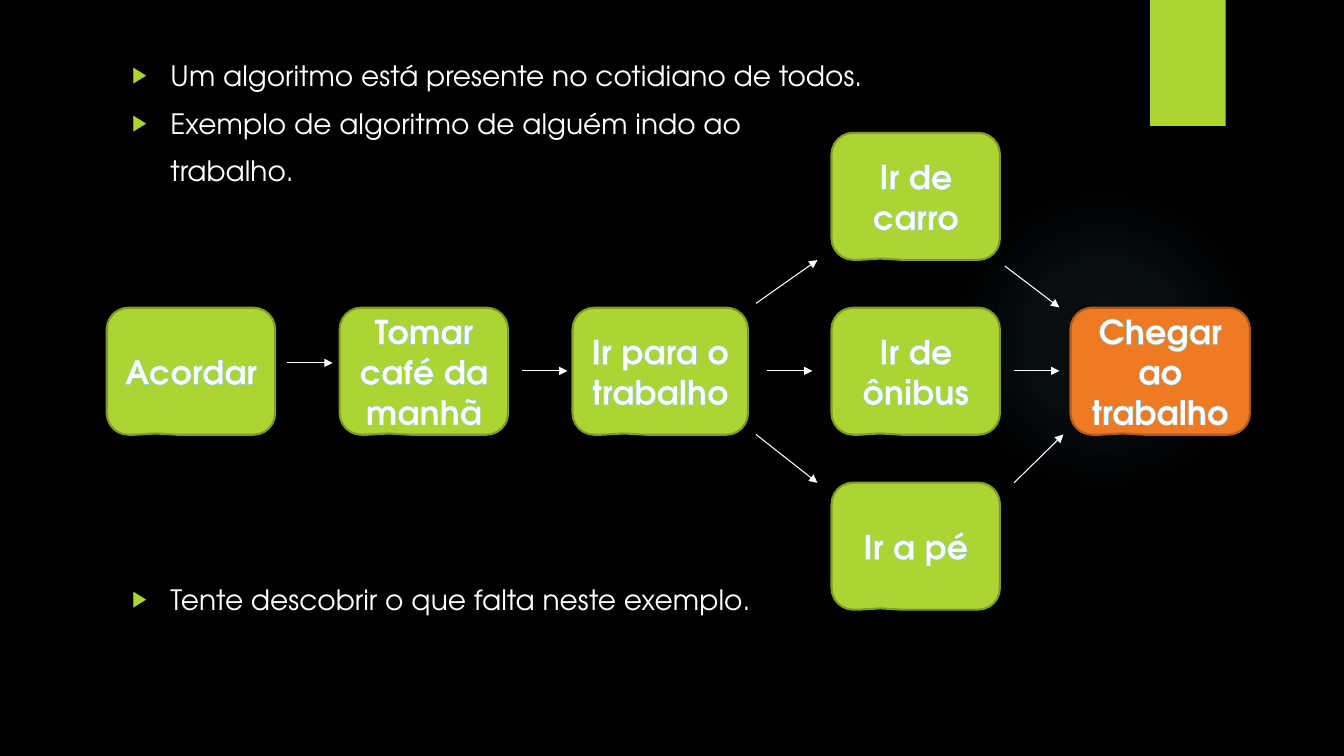
import dataclasses

import pptx
import pptx.dml.color
import pptx.enum.shapes
import pptx.enum.text
import pptx.oxml
import pptx.util

SHAPE = pptx.enum.shapes.MSO_SHAPE
NS = 'xmlns:a="http://schemas.openxmlformats.org/drawingml/2006/main"'


@dataclasses.dataclass(frozen=True)
class Theme:
    font: str = "TeX Gyre Adventor"
    background: str = "000000"
    text: str = "FFFFFF"
    halo: str = "75CEEC"
    glow: str = "7AC4F0"
    step: tuple = ("ACD433", "7F9D26")  # fill and border
    goal: tuple = ("EF7A24", "B15A1B")
    bullet_size: int = 20
    step_size: int = 24


def rgb(value):
    return pptx.dml.color.RGBColor.from_string(value)


def apply(target, settings):
    for name, value in settings.items():
        setattr(target, name, value)


def add_xml(parent, *fragments):
    for fragment in fragments:
        parent.append(pptx.oxml.parse_xml(fragment))


class Flow:
    """Draws on a grid of 160 columns by 90 rows."""

    columns, rows = 160, 90

    def __init__(self, deck, theme):
        self.theme = theme
        self.cell = deck.slide_width / self.columns
        self.slide = deck.slides.add_slide(deck.slide_layouts[1])
        heading = self.slide.shapes.title.element
        heading.getparent().remove(heading)
        fill = self.slide.background.fill
        fill.solid()
        fill.fore_color.rgb = rgb(theme.background)

    def grid(self, *lengths):
        return [round(length * self.cell) for length in lengths]

    def style_font(self, run, size, bold=False):
        apply(run.font, {"name": self.theme.font, "size": pptx.util.Pt(size), "bold": bold})
        run.font.color.rgb = rgb(self.theme.text)

    def shape(self, kind, box, fill, border=None):
        shape = self.slide.shapes.add_shape(kind, *self.grid(*box))
        shape.shadow.inherit = False
        shape.fill.solid()
        shape.fill.fore_color.rgb = rgb(fill)
        if border:
            shape.line.color.rgb = rgb(border)
            shape.line.width = pptx.util.Pt(1.5)
        else:
            shape.line.fill.background()
        return shape

    def glow(self, box):
        halo = self.shape(SHAPE.OVAL, box, self.theme.glow)
        stops = "".join(
            f'<a:gs pos="{place * 1000}"><a:srgbClr val="{self.theme.glow}">'
            f'<a:alpha val="{alpha * 1000}"/></a:srgbClr></a:gs>'
            for place, alpha in ((0, 7), (36, 6), (69, 0)))
        gradient = pptx.oxml.parse_xml(
            f'<a:gradFill {NS}><a:gsLst>{stops}</a:gsLst><a:path path="circle">'
            '<a:fillToRect l="50000" t="50000" r="50000" b="50000"/></a:path></a:gradFill>')
        properties = halo.element.spPr
        properties.replace(properties.find(pptx.oxml.ns.qn("a:solidFill")), gradient)

    def bullets(self, box, lines):
        body = self.slide.placeholders[1]
        apply(body, dict(zip(("left", "top", "width", "height"), self.grid(*box))))
        apply(body.text_frame, {"word_wrap": True,
                                "auto_size": pptx.enum.text.MSO_AUTO_SIZE.NONE,
                                "vertical_anchor": pptx.enum.text.MSO_ANCHOR.TOP})
        for index, (text, marked, gap) in enumerate(lines):
            frame = body.text_frame
            paragraph = frame.add_paragraph() if index else frame.paragraphs[0]
            paragraph.space_before = pptx.util.Pt(gap)
            run = paragraph.add_run()
            run.text = text
            self.style_font(run, self.theme.bullet_size)
            properties = paragraph._p.get_or_add_pPr()
            indent = pptx.util.Inches(0.38)
            properties.set("marL", str(indent))
            properties.set("indent", str(-indent if marked else 0))
            if marked:
                add_xml(properties,
                        f'<a:buClr {NS}><a:srgbClr val="{self.theme.step[0]}"/></a:buClr>',
                        f'<a:buSzPct {NS} val="80000"/>',
                        f'<a:buChar {NS} char="▶"/>')
            else:
                add_xml(properties, f'<a:buNone {NS}/>')

    def step(self, text, box, colors):
        card = self.shape(SHAPE.ROUNDED_RECTANGULAR_CALLOUT, box, *colors)
        for index, value in enumerate((-0.21, 0.49, 0.17)):
            card.adjustments[index] = value
        apply(card.text_frame, {"word_wrap": True,
                                "vertical_anchor": pptx.enum.text.MSO_ANCHOR.MIDDLE})
        paragraph = card.text_frame.paragraphs[0]
        paragraph.alignment = pptx.enum.text.PP_ALIGN.CENTER
        run = paragraph.add_run()
        run.text = text
        self.style_font(run, self.theme.step_size, bold=True)
        run.font._element.insert(0, pptx.oxml.parse_xml(
            f'<a:ln {NS} w="{pptx.util.Pt(0.8)}"><a:solidFill>'
            f'<a:srgbClr val="{self.theme.halo}"/></a:solidFill></a:ln>'))

    def arrow(self, *ends):
        arrow = self.slide.shapes.add_connector(
            pptx.enum.shapes.MSO_CONNECTOR.STRAIGHT, *self.grid(*ends))
        arrow.line.color.rgb = rgb(self.theme.text)
        arrow.line.width = pptx.util.Pt(0.75)
        add_xml(arrow.line._get_or_add_ln(), f'<a:tailEnd {NS} type="triangle"/>')
        add_xml(arrow.element.spPr, f'<a:effectLst {NS}/>')


def main():
    deck = pptx.Presentation()
    apply(deck, {"slide_width": pptx.util.Inches(13.333),
                 "slide_height": pptx.util.Inches(7.5)})
    theme = Theme()
    flow = Flow(deck, theme)

    # Backdrop
    flow.glow((112.92, 21.96, 36.96, 36.96))
    flow.shape(SHAPE.RECTANGLE, (136.92, 0, 9, 15), theme.step[0])

    # Statements: text, bullet shown, space before; the last sits below the flow
    flow.bullets((14.52, 6.36, 117.36, 75.6), [
        ("Um algoritmo está presente no cotidiano de todos.", True, 10),
        ("Exemplo de algoritmo de alguém indo ao", True, 10),
        ("trabalho.", False, 10),
        ("Tente descobrir o que falta neste exemplo.", True, 282),
    ])

    # Steps: text, left column, lane, width
    first_lane, lane_pitch, step_height = 15.82, 20.82, 15.12
    for text, left, lane, width, colors in (
            ("Acordar", 12.72, 1, 20.04, theme.step),
            ("Tomar café da manhã", 40.44, 1, 20.04, theme.step),
            ("Ir para o trabalho", 68.16, 1, 20.88, theme.step),
            ("Ir de carro", 99, 0, 20.04, theme.step),
            ("Ir de ônibus", 99, 1, 20.04, theme.step),
            ("Ir a pé", 99, 2, 20.04, theme.step),
            ("Chegar ao trabalho", 127.44, 1, 21.36, theme.goal)):
        top = first_lane + lane * lane_pitch
        flow.step(text, (left, top, width, step_height), colors)

    # Level arrows
    for left, level in ((34.2, 43.2), (62.16, 44.16), (91.32, 44.16), (120.72, 44.16)):
        flow.arrow(left, level, left + 5.4, level)

    # Arrows that branch out and come together
    for ends in ((90, 36.12, 97.32, 30.96), (90, 51.72, 97.32, 57.48),
                 (119.64, 31.68, 126.12, 36.6), (120.72, 57.48, 126.6, 51.72)):
        flow.arrow(*ends)

    deck.save("out.pptx")


if __name__ == "__main__":
    main()
